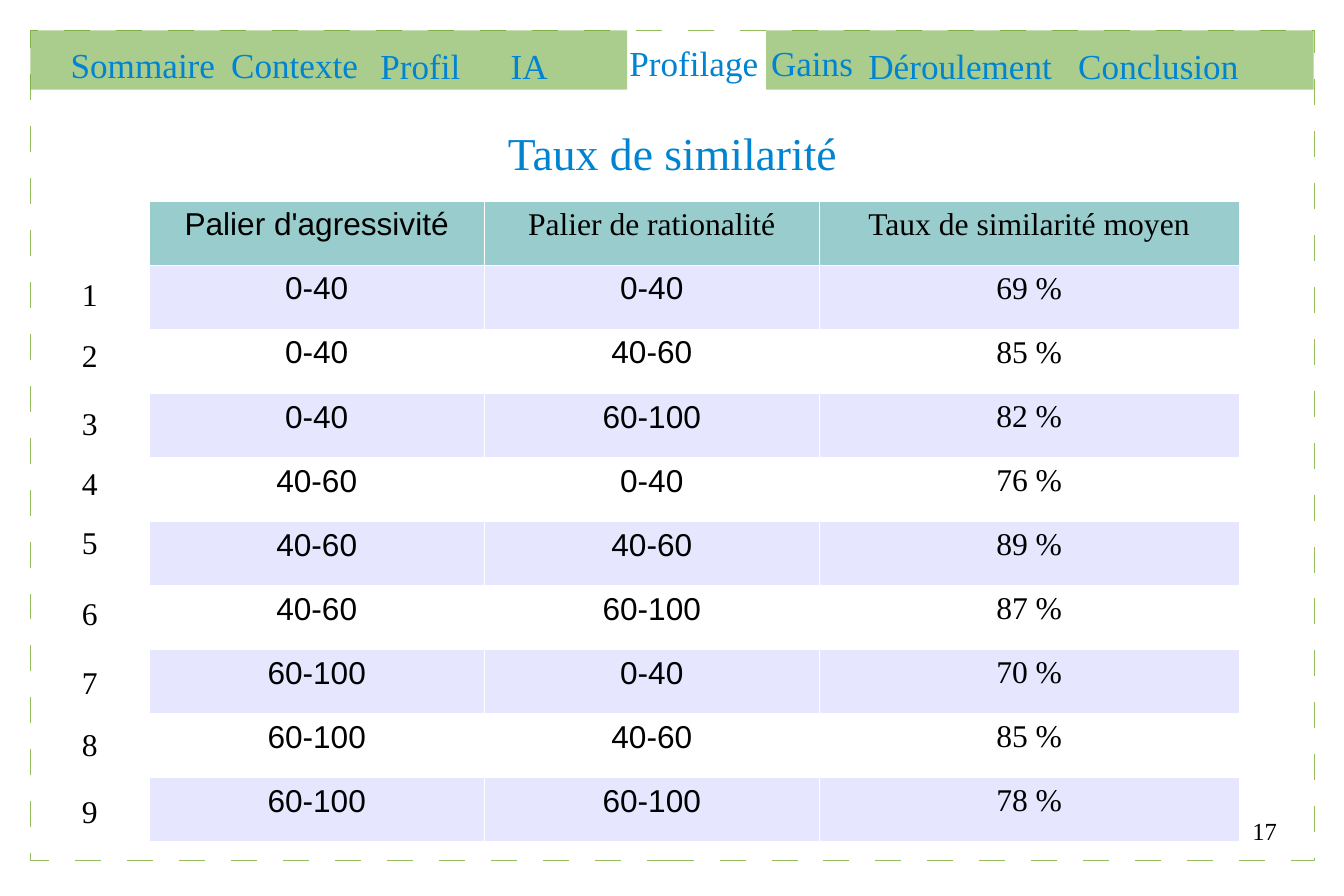
"""Build the slide on similarity rates by level of aggression and rationality."""
from lxml import etree
from pptx import Presentation
from pptx.dml.color import RGBColor
from pptx.enum.shapes import MSO_SHAPE
from pptx.enum.text import MSO_ANCHOR, PP_ALIGN
from pptx.oxml import parse_xml
from pptx.oxml.ns import nsdecls, qn
from pptx.util import Inches, Pt

RECT = MSO_SHAPE.RECTANGLE
TOP = MSO_ANCHOR.TOP
LEFT, CENTER, RIGHT = PP_ALIGN.LEFT, PP_ALIGN.CENTER, PP_ALIGN.RIGHT
SERIF, SANS = "Times New Roman", "Arial"
BLUE, BLACK, WHITE = "0084D1", "000000", "FFFFFF"


def color(code):
    return RGBColor.from_string(code)


def write(frame, text, size=18, font=SERIF, ink=BLACK, align=LEFT):
    frame.word_wrap = True
    frame.vertical_anchor = TOP
    para = frame.paragraphs[0]
    para.alignment = align
    run = para.add_run()
    run.text = text
    run.font.size = Pt(size)
    run.font.name = font
    run.font.bold = False
    run.font.color.rgb = color(ink)


deck = Presentation()
deck.slide_width, deck.slide_height = Inches(10.63), Inches(7.09)
slide = deck.slides.add_slide(deck.slide_layouts[5])
shapes = slide.shapes

border = shapes.add_shape(RECT, Inches(0.24), Inches(0.24), Inches(10.16), Inches(6.57))
border.shadow.inherit = False
border.fill.background()
border.line.color.rgb = color("94BD5E")
border.line.width = Pt(0.5)
border.line.fill._xPr.append(parse_xml(
    f'<a:custDash {nsdecls("a")}><a:ds d="2900000" sp="2900000"/></a:custDash>'))

for left, width in [(6.06, 4.33), (0.24, 4.72)]:
    band = shapes.add_shape(RECT, Inches(left), Inches(0.24), Inches(width), Inches(0.47))
    band.shadow.inherit = False
    band.fill.solid()
    band.fill.fore_color.rgb = color("579D1C")
    band.line.fill.background()
    tint = band.fill._xPr.find(qn("a:solidFill"))[0]
    etree.SubElement(tint, qn("a:alpha"), val="50000")

tabs = [
    ("Sommaire", 0.46, 0.29, 1.43),
    ("Contexte", 1.73, 0.29, 1.26),
    ("Profil", 2.91, 0.3, 0.87),
    ("IA", 3.94, 0.3, 1.42),
    ("Profilage", 4.88, 0.28, 1.34),
    ("Gains", 6, 0.28, 0.93),
    ("Déroulement", 6.77, 0.3, 1.7),
    ("Conclusion", 8.43, 0.3, 1.57),
]
for name, left, top, width in tabs:
    tab = shapes.add_textbox(Inches(left), Inches(top), Inches(width), Inches(0.41))
    write(tab.text_frame, name, size=20, ink=BLUE)

title = shapes.title
title.left, title.top = Inches(0.24), Inches(0.94)
title.width, title.height = Inches(10.16), Inches(0.5)
write(title.text_frame, "Taux de similarité", size=26, ink=BLUE, align=CENTER)

heads = ["Palier d'agressivité", "Palier de rationalité", "Taux de similarité moyen"]
levels = ["0-40", "40-60", "60-100"]
rates = [69, 85, 82, 76, 89, 87, 70, 85, 78]
rows = [heads]
for i, rate in enumerate(rates):
    rows.append([levels[i // 3], levels[i % 3], f"{rate} %"])

table = shapes.add_table(len(rows), 3, Inches(1.18), Inches(1.59),
                         Inches(8.62), Inches(5.07)).table
for column, width in zip(table.columns, [2.65, 2.65, 3.32]):
    column.width = Inches(width)
for r, row in enumerate(rows):
    table.rows[r].height = Inches(5.07 / len(rows))
    shade = "99CCCC" if r == 0 else "E6E6FF" if r % 2 else WHITE
    for c, text in enumerate(row):
        cell = table.cell(r, c)
        props = cell._tc.get_or_add_tcPr()
        for side in "LRTB":
            props.append(parse_xml(
                f'<a:ln{side} {nsdecls("a")} w="720"><a:solidFill>'
                f'<a:srgbClr val="{WHITE}"/></a:solidFill></a:ln{side}>'))
        cell.fill.solid()
        cell.fill.fore_color.rgb = color(shade)
        sans = c == 0 or (c == 1 and r > 0)
        write(cell.text_frame, text, font=SANS if sans else SERIF, align=CENTER)

tops = [2.13, 2.61, 3.15, 3.62, 4.09, 4.65, 5.2, 5.69, 6.22]
for i, top in enumerate(tops, 1):
    label = shapes.add_textbox(Inches(0.55), Inches(top), Inches(0.47), Inches(0.38))
    write(label.text_frame, str(i))

page = shapes.add_textbox(Inches(7.62), Inches(6.46), Inches(2.48), Inches(0.49))
frame = page.text_frame
frame.margin_left = frame.margin_right = frame.margin_top = frame.margin_bottom = 0
write(frame, "17", size=14, align=RIGHT)

deck.save("out.pptx")
